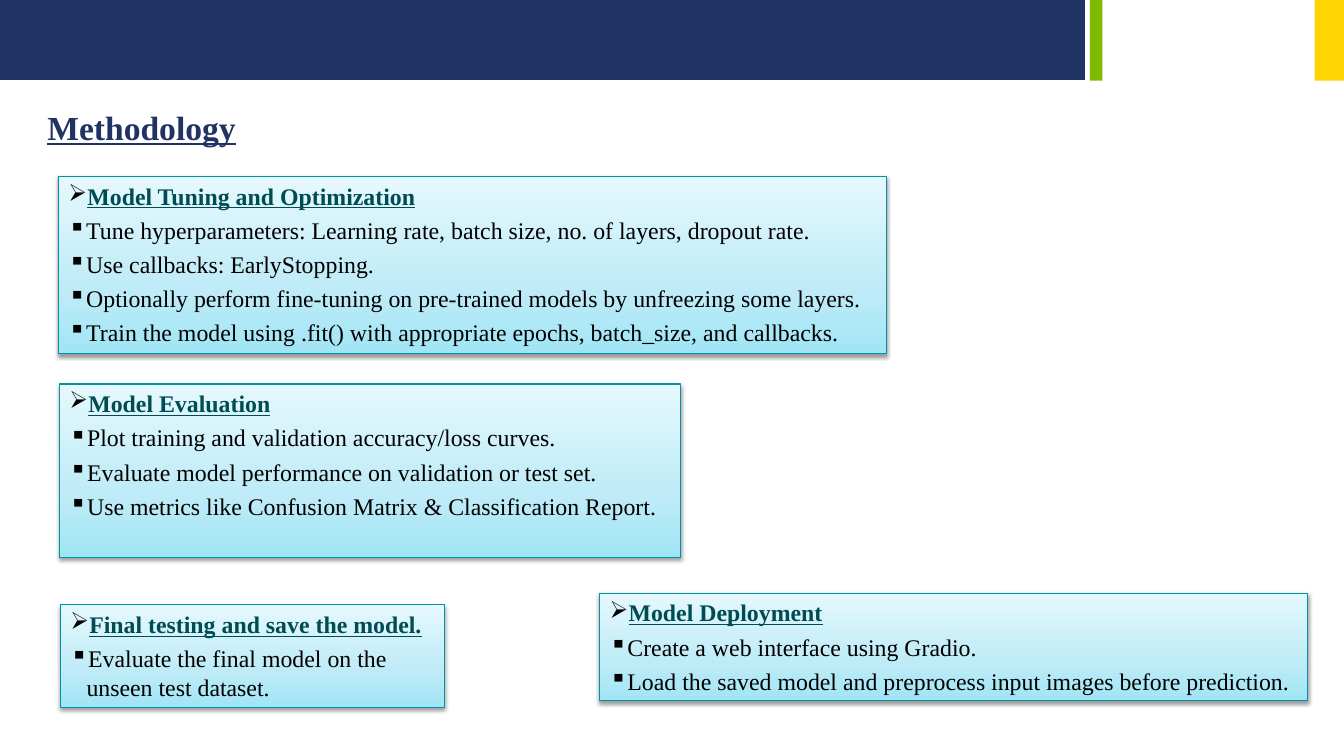
from dataclasses import dataclass
from lxml.etree import SubElement as Sub
from pptx import Presentation
from pptx.dml.color import RGBColor as Rgb
from pptx.enum.shapes import MSO_SHAPE as Shape
from pptx.enum.text import MSO_ANCHOR as Anchor, MSO_AUTO_SIZE as Fit, PP_ALIGN as Align
from pptx.oxml import parse_xml
from pptx.oxml.ns import qn
from pptx.util import Pt

NS = "http://schemas.openxmlformats.org/drawingml/2006/main"


@dataclass(frozen=True)
class Theme:
    font: str = "Times New Roman"
    big: float = 24
    size: float = 17
    gap: float = 4
    hang: float = 11.5
    navy: str = "213264"
    green: str = "7FBA00"
    gold: str = "FED500"
    teal: str = "004C54"
    edge: str = "0094A3"
    ink: str = "000000"
    stops: tuple = ((0, "A0E5F5"), (35, "BEEBF7"), (100, "E5F8FD"))


class Deck:
    def __init__(self, slide, theme):
        self.slide = slide
        self.theme = theme

    def rect(self, left, top, width, height):
        shape = self.slide.shapes.add_shape(
            Shape.RECTANGLE, Pt(left), Pt(top), Pt(width), Pt(height))
        shape.shadow.inherit = False
        return shape

    def bar(self, left, width, height, color):
        shape = self.rect(left, 0, width, height)
        shape.fill.solid()
        shape.fill.fore_color.rgb = Rgb.from_string(color)
        shape.line.fill.background()

    def run(self, para, text, size, color, strong):
        run = para.add_run()
        run.text = text
        font = run.font
        font.name = self.theme.font
        font.size = Pt(size)
        font.bold = font.underline = strong
        font.color.rgb = Rgb.from_string(color)

    def title(self, text, left, top, width, height):
        shape = self.slide.shapes.title
        shape.left, shape.top = Pt(left), Pt(top)
        shape.width, shape.height = Pt(width), Pt(height)
        frame = shape.text_frame
        frame.word_wrap = False
        frame.auto_size = Fit.NONE
        frame.vertical_anchor = Anchor.TOP
        para = frame.paragraphs[0]
        para.alignment = Align.LEFT
        self.run(para, text, self.theme.big, self.theme.navy, True)

    def bullet(self, para, mark, hang):
        props = para._p.get_or_add_pPr()
        props.set("marL", str(Pt(hang)))
        props.set("indent", str(-Pt(hang)))
        tint = Sub(props, qn("a:buClr"))
        Sub(tint, qn("a:srgbClr"), val=self.theme.ink)
        Sub(props, qn("a:buChar"), char=mark)

    def shade(self, shape):
        stops = "".join(
            f'<a:gs pos="{pos * 1000}"><a:srgbClr val="{color}"/></a:gs>'
            for pos, color in self.theme.stops)
        fill = parse_xml(
            f'<a:gradFill xmlns:a="{NS}" rotWithShape="1"><a:gsLst>{stops}</a:gsLst>'
            f'<a:lin ang="{270 * 60000}" scaled="0"/></a:gradFill>')
        props = shape._element.spPr
        props.find(qn("a:prstGeom")).addnext(fill)
        glow = Sub(props.find(qn("a:effectLst")), qn("a:outerShdw"),
                   blurRad=str(Pt(3.1)), dist=str(Pt(1.6)),
                   dir=str(90 * 60000), rotWithShape="0")
        tint = Sub(glow, qn("a:srgbClr"), val=self.theme.ink)
        Sub(tint, qn("a:alpha"), val="38000")

    def card(self, left, top, width, height, head, items):
        theme = self.theme
        shape = self.rect(left, top, width, height)
        shape.line.color.rgb = Rgb.from_string(theme.edge)
        shape.line.width = Pt(0.75)
        self.shade(shape)
        frame = shape.text_frame
        frame.word_wrap = True
        frame.vertical_anchor = Anchor.TOP
        para = frame.paragraphs[0]
        para.alignment = Align.LEFT
        self.bullet(para, "➢", 0)
        self.run(para, head, theme.size, theme.teal, True)
        for item in items:
            para = frame.add_paragraph()
            para.alignment = Align.LEFT
            para.space_before = Pt(theme.gap)
            self.bullet(para, "▪", theme.hang)
            self.run(para, item, theme.size, theme.ink, False)


CARDS = (
    (43.2, 432, 274.3, 73.4, "Final testing and save the model.", (
        "Evaluate the final model on the unseen test dataset.",)),
    (428.4, 423.7, 505.6, 77, "Model Deployment", (
        "Create a web interface using Gradio.",
        "Load the saved model and preprocess input images before prediction.")),
    (42.5, 274.3, 443.5, 124.2, "Model Evaluation", (
        "Plot training and validation accuracy/loss curves.",
        "Evaluate model performance on validation or test set.",
        "Use metrics like Confusion Matrix & Classification Report.")),
    (41.8, 126, 591.1, 126.7, "Model Tuning and Optimization", (
        "Tune hyperparameters: Learning rate, batch size, no. of layers, dropout rate.",
        "Use callbacks: EarlyStopping.",
        "Optionally perform fine-tuning on pre-trained models by unfreezing some layers.",
        "Train the model using .fit() with appropriate epochs, batch_size, and callbacks.")),
)


def main():
    show = Presentation()
    show.slide_width, show.slide_height = Pt(960), Pt(540)
    theme = Theme()
    deck = Deck(show.slides.add_slide(show.slide_layouts[5]), theme)
    deck.bar(0, 775, 57, theme.navy)
    deck.bar(778.5, 9, 57.6, theme.green)
    deck.bar(939, 21, 57.6, theme.gold)
    deck.title("Methodology", 26.6, 72.7, 150.5, 36)
    for card in CARDS:
        deck.card(*card)
    show.save("out.pptx")


if __name__ == "__main__":
    main()
